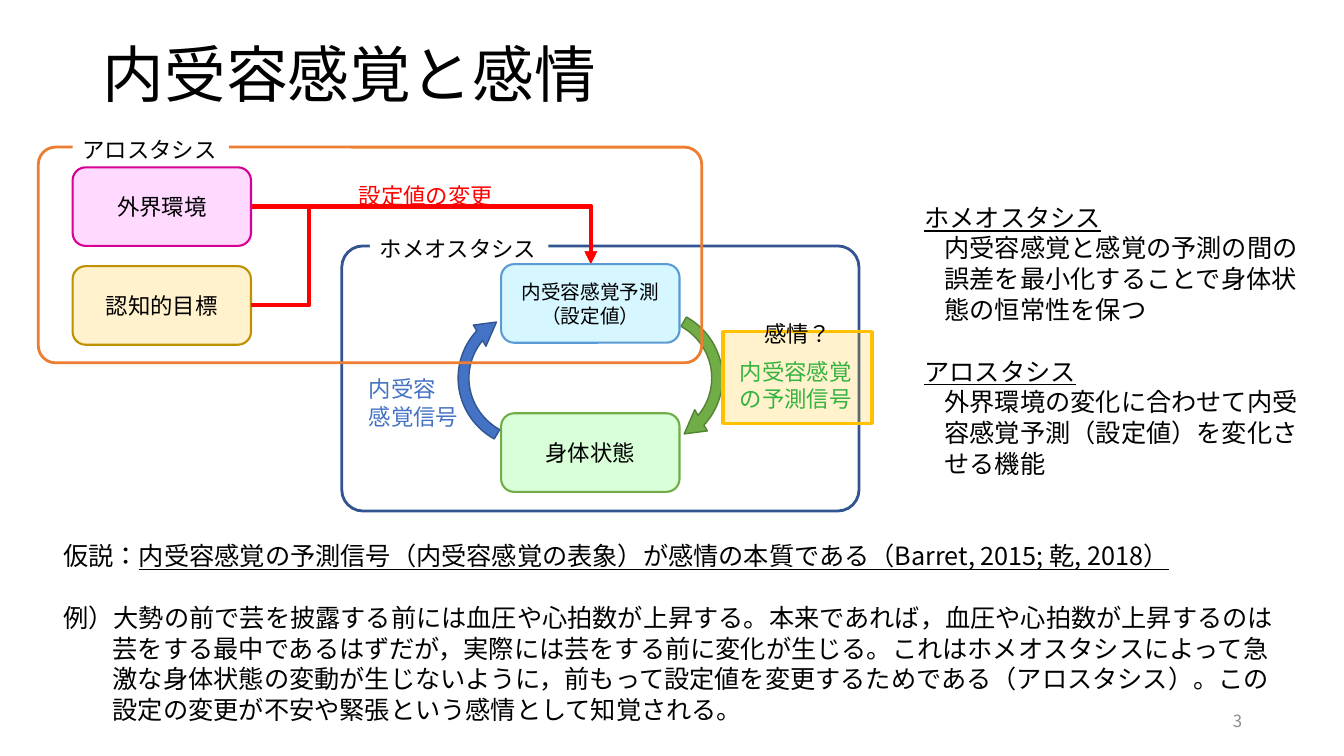
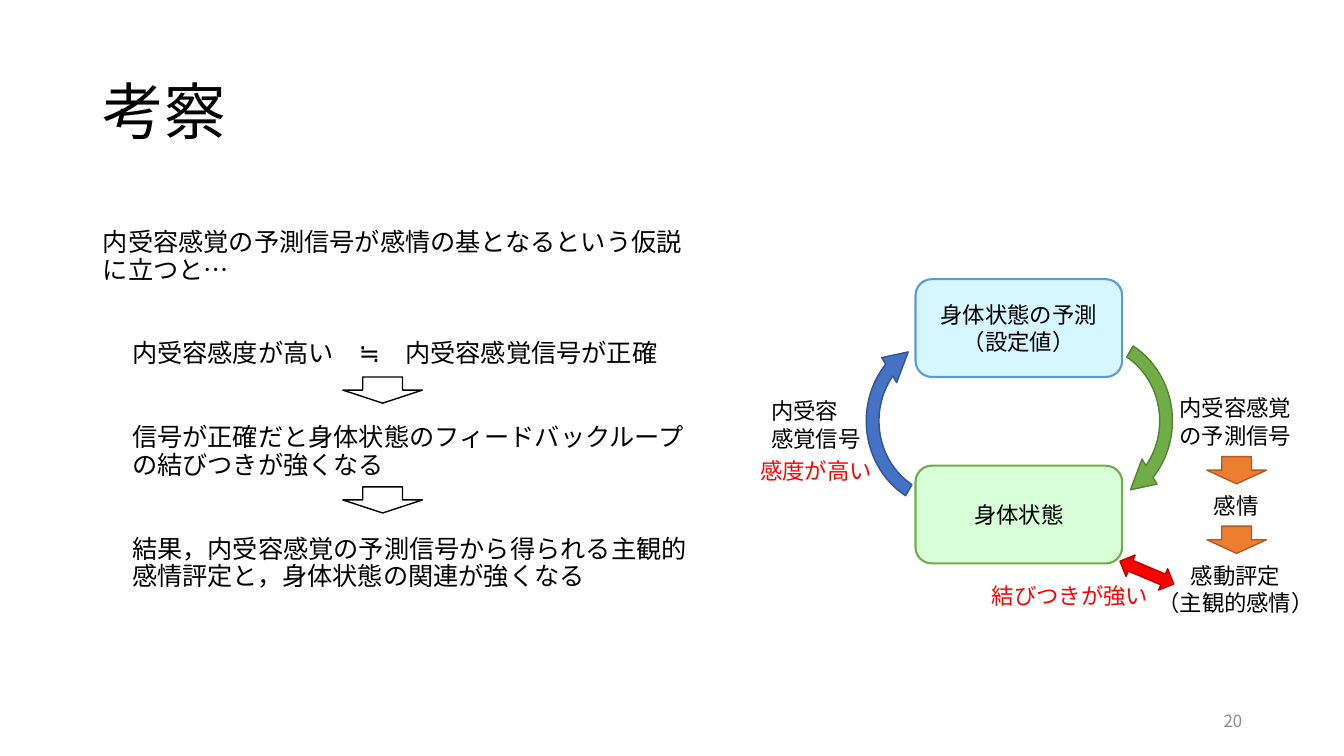
from lxml import etree
from pptx import Presentation
from pptx.dml.color import RGBColor
from pptx.enum.lang import MSO_LANGUAGE_ID
from pptx.enum.shapes import MSO_CONNECTOR, MSO_SHAPE
from pptx.enum.text import MSO_ANCHOR, MSO_AUTO_SIZE, PP_ALIGN
from pptx.oxml.ns import qn
from pptx.util import Inches, Pt

FONT = "Noto Sans CJK JP"
JAPANESE = MSO_LANGUAGE_ID.JAPANESE
LEFT, CENTER, RIGHT = PP_ALIGN.LEFT, PP_ALIGN.CENTER, PP_ALIGN.RIGHT
TOP, MIDDLE = MSO_ANCHOR.TOP, MSO_ANCHOR.MIDDLE
NO_AUTOFIT = MSO_AUTO_SIZE.NONE
ELBOW = MSO_CONNECTOR.ELBOW
RECTANGLE, ROUNDED = MSO_SHAPE.RECTANGLE, MSO_SHAPE.ROUNDED_RECTANGLE
CIRCULAR_ARROW = MSO_SHAPE.CIRCULAR_ARROW
DOWN_ARROW, UP_DOWN_ARROW = MSO_SHAPE.DOWN_ARROW, MSO_SHAPE.UP_DOWN_ARROW
TITLE_AND_BODY, TITLE_ONLY = 1, 5

NORMAL_LEADING, TIGHT_LEADING = 1.22, 1.1  # line height as a share of the text size
FRAME_CORNER = 0.08
LOOP_ARROW = (0.07, 11.42, 186.12, 126.15, 0.08)

COLORS = {
    "black": "000000", "white": "FFFFFF", "gray": "8C8C8C",
    "red": "FF0000", "dark red": "C00000",
    "blue": "4472C4", "dark blue": "325491",
    "sky": "5B9BD5", "pale sky": "D6F7FF",
    "green": "70AD47", "dark green": "548235", "pale green": "D9FFD9",
    "signal green": "00B050",
    "orange": "ED7D31", "dark orange": "AF5C24",
    "amber": "FFC000", "dark amber": "BF9000", "pale amber": "FFF2CC",
    "magenta": "D60093", "pale magenta": "FFD9FF",
}


def rgb(name):
    return RGBColor.from_string(COLORS[name])


def place(shape, box):
    shape.left, shape.top, shape.width, shape.height = map(Inches, box)


def indent(paragraph, left, first=0):
    properties = paragraph._p.get_or_add_pPr()
    properties.set("marL", str(Inches(left)))
    properties.set("indent", str(Inches(first)))


class Deck:
    """Holds the shared style and the slide being filled."""

    def __init__(self):
        self.presentation = Presentation()
        self.presentation.slide_width = Inches(13.33)
        self.presentation.slide_height = Inches(7.5)
        self.slide = None

    def new_slide(self, layout, title, number, title_top=0.4, title_height=1.45):
        self.slide = self.presentation.slides.add_slide(
            self.presentation.slide_layouts[layout])
        heading = self.slide.shapes.title
        place(heading, (0.92, title_top, 11.5, title_height))
        self.fill_text(heading, title, 44, leading=TIGHT_LEADING, anchor=MIDDLE)
        self.text((9.42, 6.95, 3, 0.4), str(number), 12, "gray",
                  align=RIGHT, anchor=MIDDLE)

    def style_run(self, run, size, color="black", underline=False):
        run.font.size = Pt(size)
        run.font.color.rgb = rgb(color)
        run.font.name = FONT
        run.font.language_id = JAPANESE
        run.font.underline = underline
        east_asian = etree.SubElement(run.font._element, qn("a:ea"))
        east_asian.set("typeface", FONT)

    def fill_text(self, shape, text, size, color="black", align=LEFT, anchor=TOP,
                  leading=NORMAL_LEADING, wrap=True):
        frame = shape.text_frame
        frame.text = text
        frame.word_wrap = wrap
        frame.auto_size = NO_AUTOFIT
        frame.vertical_anchor = anchor
        for paragraph in frame.paragraphs:
            paragraph.alignment = align
            paragraph.line_spacing = Pt(size * leading)
            paragraph.space_before = Pt(0)
            for run in paragraph.runs:
                self.style_run(run, size, color)
        return frame.paragraphs

    def text(self, box, text, size, color="black", **options):
        shape = self.slide.shapes.add_textbox(*map(Inches, box))
        return self.fill_text(shape, text, size, color, **options)

    def label(self, box, text, color="black", align=LEFT):
        self.text(box, text, 16, color, align=align, wrap=False)

    def body(self, box, text, size):
        shape = self.slide.placeholders[1]
        place(shape, box)
        paragraphs = self.fill_text(shape, text, size, leading=TIGHT_LEADING)
        for paragraph in paragraphs:
            indent(paragraph, 0)
            etree.SubElement(paragraph._p.get_or_add_pPr(), qn("a:buNone"))
        return paragraphs

    def shape(self, kind, box, fill=None, line=None, width=1, adjustments=(),
              rotation=0, opacity=None):
        shape = self.slide.shapes.add_shape(kind, *map(Inches, box))
        shape.shadow.inherit = False
        shape.rotation = rotation
        for index, value in enumerate(adjustments):
            shape.adjustments[index] = value
        if fill:
            shape.fill.solid()
            shape.fill.fore_color.rgb = rgb(fill)
        else:
            shape.fill.background()
        if opacity is not None:
            color = shape._element.spPr.find(qn("a:solidFill"))[0]
            etree.SubElement(color, qn("a:alpha")).set("val", str(opacity * 1000))
        if line:
            shape.line.color.rgb = rgb(line)
            shape.line.width = Pt(width)
        else:
            shape.line.fill.background()
        return shape

    def node(self, box, text, fill, line, size=16):
        shape = self.shape(ROUNDED, box, fill, line, 1.5)
        self.fill_text(shape, text, size, align=CENTER, anchor=MIDDLE)

    def frame_caption(self, box, text):
        """Add a caption that interrupts the border of a frame."""
        shape = self.shape(RECTANGLE, box, "white")
        self.fill_text(shape, text, 16, wrap=False)

    def loop_arrows(self, left_arrow, right_arrow, top, width, height):
        """Draw the two halves of a feedback loop from their left edges."""
        for left, fill, line, rotation in (
                (right_arrow, "green", "dark green", 90),
                (left_arrow, "blue", "dark blue", 270)):
            self.shape(CIRCULAR_ARROW, (left, top, width, height), fill, line,
                       adjustments=LOOP_ARROW, rotation=rotation)

    def elbow_arrow(self, start, end, preset, adjustments=()):
        connector = self.slide.shapes.add_connector(
            ELBOW, *map(Inches, (*start, *end)))
        connector.line.color.rgb = rgb("red")
        connector.line.width = Pt(3)
        properties = connector._element.spPr
        geometry = properties.find(qn("a:prstGeom"))
        geometry.set("prst", preset)
        guides = geometry.find(qn("a:avLst"))
        if guides is None:
            guides = etree.SubElement(geometry, qn("a:avLst"))
        for index, value in enumerate(adjustments, 1):
            guide = etree.SubElement(guides, qn("a:gd"))
            guide.set("name", f"adj{index}")
            guide.set("fmla", f"val {round(value * 100000)}")
        line = properties.find(qn("a:ln"))
        etree.SubElement(line, qn("a:tailEnd")).set("type", "triangle")
        etree.SubElement(properties, qn("a:effectLst"))


def add_emotion_slide(deck):
    deck.new_slide(TITLE_ONLY, "内受容感覚と感情", 3, title_top=0.25, title_height=1)
    node_size = (1.77, 0.78)

    deck.shape(ROUNDED, (3.39, 2.44, 5.13, 2.63), None, "dark blue", 2, [FRAME_CORNER])
    deck.node((0.72, 2.64, *node_size), "認知的目標", "pale amber", "dark amber")
    deck.node((4.97, 4.1, *node_size), "身体状態", "pale green", "green")
    deck.loop_arrows(4.49, 5.69, 2.97, 1.53, 1.56)
    deck.label((3.56, 3.67, 1.1, 0.64), "内受容\n感覚信号", "blue")
    deck.frame_caption((3.67, 2.28, 1.77, 0.35), "ホメオスタシス")

    set_point = (5.86, 2.62)
    deck.elbow_arrow((2.49, 2.05), set_point, "bentConnector2")
    deck.elbow_arrow((2.49, 3.03), set_point, "bentConnector4", (0.17, 2.4))
    deck.label((3.46, 1.75, 1.64, 0.43), "設定値の変更", "red")

    deck.shape(ROUNDED, (0.38, 1.46, 6.58, 2.14), None, "orange", 2, [FRAME_CORNER])
    deck.frame_caption((0.72, 1.3, 1.55, 0.35), "アロスタシス")
    deck.label((7.24, 3.5, 1.4, 0.75), "内受容感覚\nの予測信号", "signal green")
    deck.shape(RECTANGLE, (7.17, 3.29, 1.48, 0.91), "amber", "amber", 2.5, opacity=20)
    deck.label((7.48, 3.12, 0.93, 0.43), "感情？")
    deck.node((4.97, 2.62, *node_size), "内受容感覚予測（設定値）", "pale sky", "sky", 14)
    deck.node((0.72, 1.66, *node_size), "外界環境", "pale magenta", "magenta")

    definitions = deck.text(
        (9.07, 1.95, 3.99, 2.83),
        "ホメオスタシス\n"
        "内受容感覚と感覚の予測の間の誤差を最小化することで身体状態の恒常性を保つ\n"
        "アロスタシス\n"
        "外界環境の変化に合わせて内受容感覚予測（設定値）を変化させる機能", 18)
    for term, meaning in zip(definitions[::2], definitions[1::2]):
        term.runs[0].font.underline = True
        indent(meaning, 0.2)
    definitions[2].space_before = Pt(22)

    hypothesis, example = deck.text(
        (0.53, 5.31, 12.28, 1.92),
        "仮説：\n"
        "例）大勢の前で芸を披露する前には血圧や心拍数が上昇する。本来であれば，"
        "血圧や心拍数が上昇するのは芸をする最中であるはずだが，実際には芸をする前に"
        "変化が生じる。これはホメオスタシスによって急激な身体状態の変動が生じないように，"
        "前もって設定値を変更するためである（アロスタシス）。"
        "この設定の変更が不安や緊張という感情として知覚される。", 18)
    claim = hypothesis.add_run()
    claim.text = ("内受容感覚の予測信号（内受容感覚の表象）が感情の本質である"
                  "（Barret, 2015; 乾, 2018）")
    deck.style_run(claim, 18, underline=True)
    example.space_before = Pt(22)
    indent(example, 0.49, -0.49)


def add_discussion_slide(deck):
    deck.new_slide(TITLE_AND_BODY, "考察", 20)
    argument = deck.body(
        (0.92, 2.22, 6.02, 3.8),
        "内受容感覚の予測信号が感情の基となるという仮説に立つと…\n"
        "内受容感度が高い　≒　内受容感覚信号が正確\n"
        "信号が正確だと身体状態のフィードバックループの結びつきが強くなる\n"
        "結果，内受容感覚の予測信号から得られる主観的感情評定と，"
        "身体状態の関連が強くなる", 18)
    for step in argument[1:]:
        step.space_before = Pt(40)
        indent(step, 0.29)

    node_size = (2.05, 0.97)
    deck.node((9.08, 4.62, *node_size), "身体状態", "pale green", "green")
    deck.node((9.08, 2.77, *node_size), "身体状態の予測\n（設定値）", "pale sky", "sky")
    deck.loop_arrows(8.46, 9.85, 3.27, 1.91, 1.81)

    deck.label((7.55, 3.89, 1.1, 0.64), "内受容\n感覚信号")
    deck.label((7.44, 4.48, 1.32, 0.37), "感度が高い", "red")
    deck.label((11.6, 3.86, 1.32, 0.64), "内受容感覚\nの予測信号")
    deck.label((11.94, 4.83, 0.65, 0.37), "感情")
    deck.label((11.37, 5.52, 1.77, 0.64), "感動評定\n（主観的感情）", align=CENTER)
    for top in (4.53, 5.22):
        deck.shape(DOWN_ARROW, (11.97, top, 0.59, 0.27), "orange", "dark orange")
    deck.shape(UP_DOWN_ARROW, (11.26, 5.39, 0.23, 0.58), "red", "dark red",
               rotation=292.9)
    deck.label((9.74, 5.72, 1.77, 0.37), "結びつきが強い", "red")
    for top in (3.74, 4.83):
        deck.shape(DOWN_ARROW, (3.4, top, 0.79, 0.26), None, "black")


def main():
    deck = Deck()
    add_emotion_slide(deck)
    add_discussion_slide(deck)
    deck.presentation.save("out.pptx")


if __name__ == "__main__":
    main()
